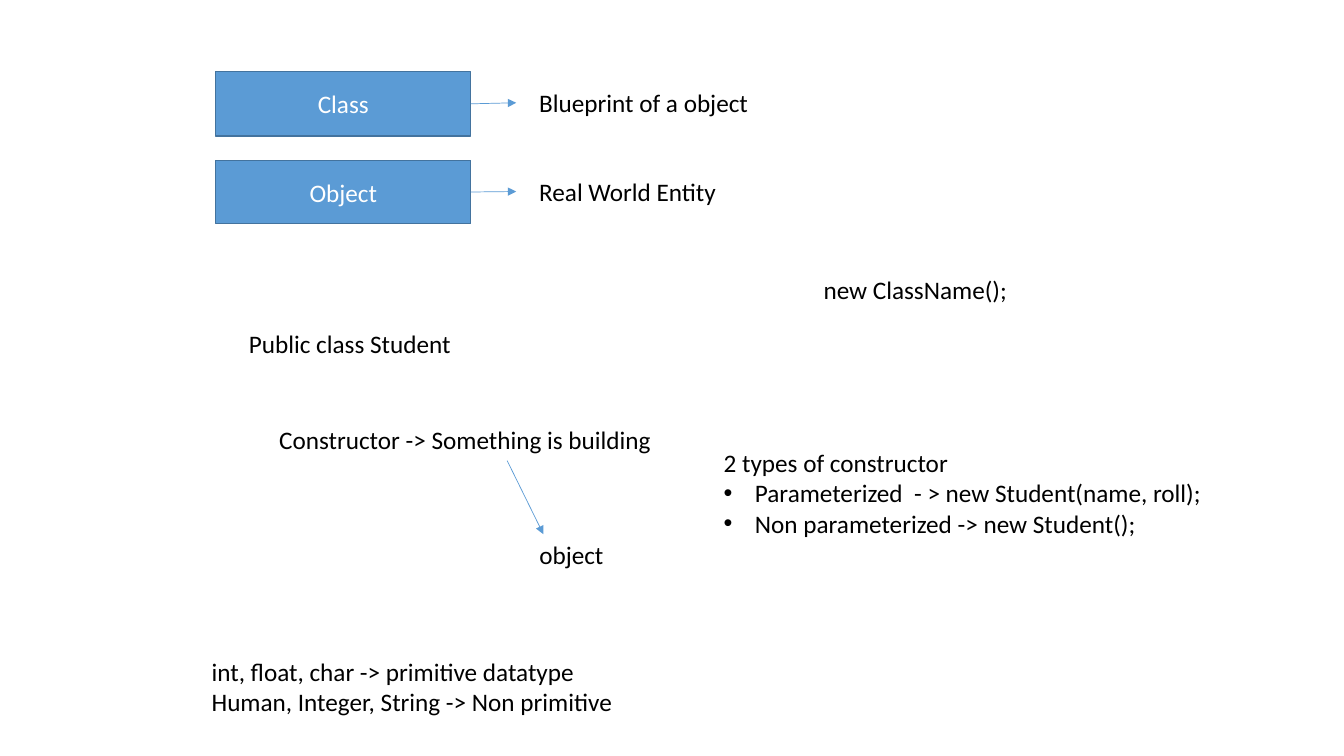
from lxml import etree
from pptx import Presentation, util as u
from pptx.dml.color import RGBColor
from pptx.enum import shapes, text
from pptx.oxml.ns import qn

HUES = {"fill": "5B9BD5", "edge": "43739E", "white": "FFFFFF", "black": "000000"}
FONT, SIZE = "Calibri", 18
BOX_X, BOX_W, TIP_X = 2.14, 2.53, 5.12

# term, top, height, arrow tip y
TERMS = [
    ("Class", 0.71, 0.64, 1.02),
    ("Object", 1.59, 0.63, 1.9),
]
# left, top, width, height, lines; a line that starts with a bullet is a list item
NOTES = [
    (5.25, 0.82, 2.3, 0.4, ["Blueprint of a object"]),
    (5.25, 1.7, 1.97, 0.4, ["Real World Entity"]),
    (2.37, 3.21, 2.23, 0.4, ["Public class Student"]),
    (2.67, 4.16, 3.93, 0.4, ["Constructor -> Something is building"]),
    (5.25, 5.3, 0.85, 0.4, ["object"]),
    (7.08, 4.39, 5, 1.31, [
        "2 types of constructor",
        "•Parameterized  - > new Student(name, roll);",
        "•Non parameterized -> new Student();",
    ]),
    (8.07, 2.67, 2.04, 0.4, ["new ClassName();"]),
    (2, 6.46, 4.22, 0.71, [
        "int, float, char -> primitive datatype",
        "Human, Integer, String -> Non primitive",
    ]),
]
BUILD = (5.03, 4.57, 5.39, 5.3)


def hue(name):
    return RGBColor.from_string(HUES[name])


def bullet(para):
    props = para._p.get_or_add_pPr()
    props.set("marL", str(u.Inches(0.31)))
    props.set("indent", str(u.Inches(-0.31)))
    etree.SubElement(props, qn("a:buFont"), typeface="Arial")
    etree.SubElement(props, qn("a:buChar"), char="•")


def write(frame, lines, color="black", align=None):
    for i, line in enumerate(lines):
        para = frame.paragraphs[0] if i == 0 else frame.add_paragraph()
        if align is not None:
            para.alignment = align
        if line.startswith("•"):
            bullet(para)
        run = para.add_run()
        run.text = line.removeprefix("•")
        run.font.name, run.font.size = FONT, u.Pt(SIZE)
        run.font.color.rgb = hue(color)


def add_term(slide, term, top, high):
    box = slide.shapes.add_shape(
        shapes.MSO_SHAPE.RECTANGLE, *map(u.Inches, (BOX_X, top, BOX_W, high)))
    box.shadow.inherit = False
    box.fill.solid()
    box.fill.fore_color.rgb = hue("fill")
    box.line.color.rgb = hue("edge")
    box.line.width = u.Pt(1)
    box.text_frame.vertical_anchor = text.MSO_ANCHOR.MIDDLE
    write(box.text_frame, [term], color="white", align=text.PP_ALIGN.CENTER)
    return box


def add_arrow(slide, *ends):
    arrow = slide.shapes.add_connector(
        shapes.MSO_CONNECTOR.STRAIGHT, *map(u.Inches, ends))
    arrow.line.color.rgb = hue("fill")
    arrow.line.width = u.Pt(0.5)
    etree.SubElement(arrow.line._get_or_add_ln(), qn("a:tailEnd"), type="triangle")
    etree.SubElement(arrow._element.spPr, qn("a:effectLst"))
    return arrow


def add_note(slide, left, top, wide, high, lines):
    note = slide.shapes.add_textbox(*map(u.Inches, (left, top, wide, high)))
    note.text_frame.word_wrap = False
    note.text_frame.auto_size = text.MSO_AUTO_SIZE.SHAPE_TO_FIT_TEXT
    write(note.text_frame, lines)


def main():
    deck = Presentation()
    deck.slide_width, deck.slide_height = u.Inches(13.33), u.Inches(7.5)
    slide = deck.slides.add_slide(deck.slide_layouts[6])
    for term, top, high, tip in TERMS:
        box = add_term(slide, term, top, high)
        arrow = add_arrow(slide, BOX_X + BOX_W, top + high / 2, TIP_X, tip)
        arrow.begin_connect(box, 3)
    add_arrow(slide, *BUILD)
    for note in NOTES:
        add_note(slide, *note)
    deck.save("out.pptx")


if __name__ == "__main__":
    main()
